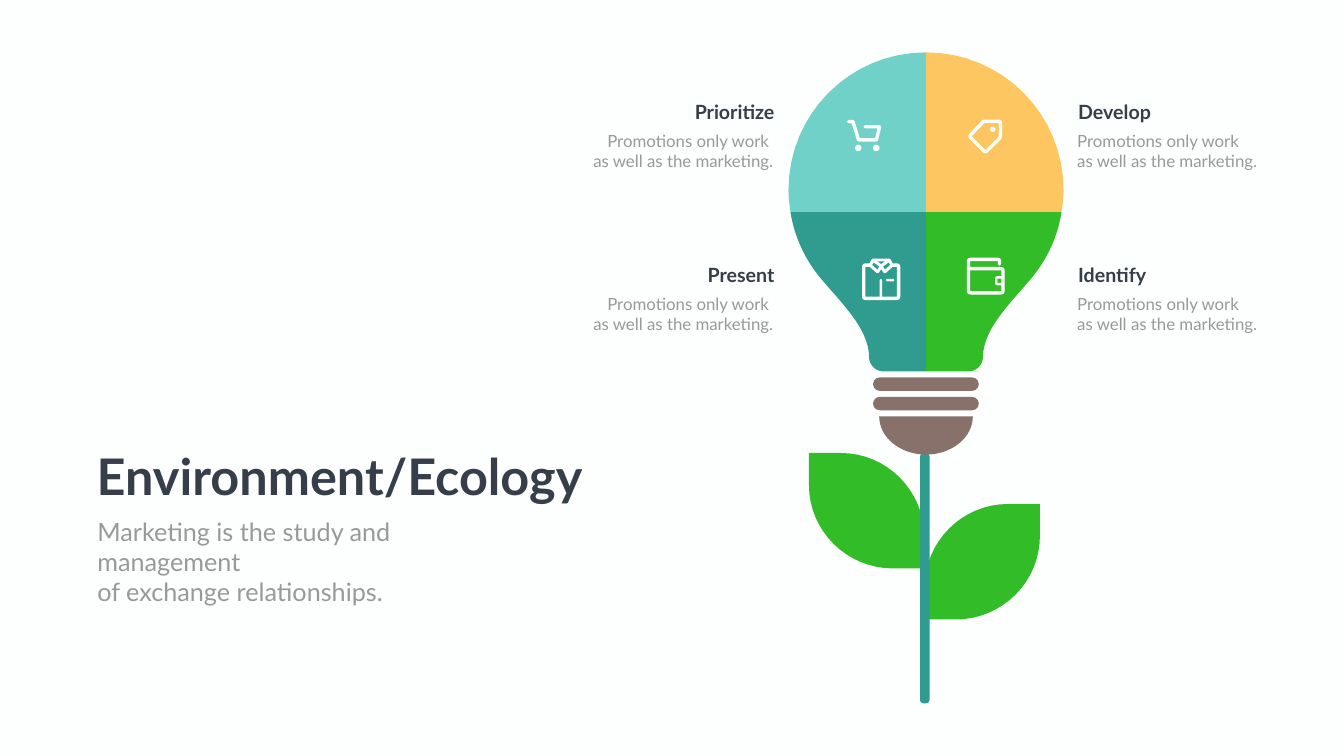
"""Build the Environment/Ecology slide with a light bulb growing on a plant."""
from lxml.etree import SubElement
from pptx import Presentation
from pptx.dml.color import RGBColor
from pptx.enum.shapes import MSO_SHAPE as Kind
from pptx.enum.text import MSO_ANCHOR as Anchor, MSO_AUTO_SIZE as Fit, PP_ALIGN as Align
from pptx.oxml.ns import qn
from pptx.util import Cm, Pt

WHITE, DARK, GREY = "FDFFFE", "353E49", "989998"
TEAL, GREEN, MINT, AMBER, BROWN = "309C8F", "32BC27", "70D1C8", "FEC660", "88706B"
AXIS = 46.66
SEAM = 10.69
TOP = [(6.83, SEAM), (6.88, 10.31, 6.93, 9.96, 6.93, 9.58),
       (6.93, 5.74, 3.84, 2.64, 0, 2.64), (0, SEAM)]
LOW = [(0, SEAM), (0, 18.72), (2.13, 18.72), (2.54, 18.72, 2.87, 18.39, 2.87, 17.98),
       (2.87, 16.54, 4.39, 15.14, 5.31, 14.02), (6.1, 13.08, 6.63, 11.94, 6.83, SEAM)]
LEAF = [(0, 0), (1.57, 0), (3.91, 0, 5.82, -1.88, 5.82, -4.22), (5.82, -5.82),
        (4.22, -5.82), (1.88, -5.82, 0, -3.91, 0, -1.57)]
BASE = [(2.36, 20.98), (2.36, 22.05, 1.3, 22.91, 0, 22.91),
        (-1.3, 22.91, -2.36, 22.05, -2.36, 20.98)]
CART = [(42.76, 6.13), (42.98, 6.13), (43.26, 7.05), (44.16, 7.05), (44.32, 6.39), (43.59, 6.39)]
TAG = [(49.57, 6.11), (50.41, 6.11), (50.41, 6.93), (49.65, 7.68), (48.84, 6.87), (49.57, 6.11)]
PURSE = [(50.36, 13.31), (50.36, 13.07), (48.8, 13.07), (48.8, 14.76), (50.54, 14.76),
         (50.54, 13.54), (48.8, 13.54), (48.8, 13.31)]
SHIRT = [(43.84, 13.36), (43.52, 13.36), (43.52, 15.04), (45.28, 15.04), (45.28, 13.36),
         (44.96, 13.36)]
FLAP = [(-0.41, 13.11), (-0.55, 13.37), (-0.18, 13.7), (0.01, 13.41), (-0.41, 13.11)]
NOTE = "Promotions only work{}\nas well as the marketing."


def tint(code):
    """Return the colour for a hex string."""
    return RGBColor.from_string(code)


def paint(shape, code):
    """Fill a shape with one colour, without line or shadow."""
    shape.fill.solid()
    shape.fill.fore_color.rgb = tint(code)
    shape.line.fill.background()
    shape.shadow.inherit = False


def ink(shape, width):
    """Give a shape a white round-ended line and no fill."""
    shape.fill.background()
    shape.shadow.inherit = False
    shape.line.color.rgb = tint(WHITE)
    shape.line.width = Cm(width)
    line = shape.line._get_or_add_ln()
    line.set("cap", "rnd")
    SubElement(line, qn("a:round"))


def arc(a, b, c, d, count=16):
    """Return points along a cubic curve after its start."""
    spots = []
    for step in range(1, count + 1):
        t = step / count
        u = 1 - t
        spots.append(tuple(u ** 3 * i + 3 * u * u * t * j + 3 * u * t * t * k + t ** 3 * m
                           for i, j, k, m in zip(a, b, c, d)))
    return spots


def trace(steps):
    """Turn line and curve steps into plain points."""
    spots = [steps[0]]
    for step in steps[1:]:
        if len(step) == 2:
            spots.append(step)
        else:
            spots += arc(spots[-1], step[:2], step[2:4], step[4:])
    return spots


def toward(a, b, size):
    """Return the point on the way from a to b, at most halfway."""
    gap = ((b[0] - a[0]) ** 2 + (b[1] - a[1]) ** 2) ** 0.5
    part = min(size / gap, 0.5)
    return a[0] + (b[0] - a[0]) * part, a[1] + (b[1] - a[1]) * part


def bend(spots, size):
    """Round the inner corners of a row of points."""
    row = [spots[0]]
    for last, spot, after in zip(spots, spots[1:], spots[2:]):
        start, end = toward(spot, last, size), toward(spot, after, size)
        row += [start] + arc(start, spot, spot, end, 6)
    return row + [spots[-1]]


def outline(slide, spots, x=0, y=0, side=1, close=True):
    """Draw points from an origin, mirrored when side is -1."""
    row = [(Cm(x + side * a), Cm(y + b)) for a, b in spots]
    pen = slide.shapes.build_freeform(*row[0], scale=1)
    pen.add_line_segments(row[1:], close=close)
    return pen.convert_to_shape()


def solid(slide, steps, code, x=AXIS, y=0, side=1):
    """Draw a filled outline."""
    paint(outline(slide, trace(steps), x, y, side), code)


def stroke(slide, spots, width, curve=0.06, x=0, side=1):
    """Draw a white line through points with rounded corners."""
    shut = spots[0] == spots[-1]
    ink(outline(slide, bend(spots, curve), x, 0, side, shut), width)


def block(slide, kind, box, code, curve=None):
    """Draw a filled preset shape."""
    shape = slide.shapes.add_shape(kind, *map(Cm, box))
    if curve is not None:
        shape.adjustments[0] = curve
    paint(shape, code)
    return shape


def write(shape, box, text, size, code, bold=False, align=Align.LEFT):
    """Place a text shape and format its words."""
    shape.left, shape.top, shape.width, shape.height = map(Cm, box)
    frame = shape.text_frame
    frame.text = text
    frame.word_wrap = True
    frame.auto_size = Fit.NONE
    frame.vertical_anchor = Anchor.TOP
    for para in frame.paragraphs:
        para.alignment = align
        para.space_before = Pt(0)
        for run in para.runs:
            font = run.font
            font.name, font.size, font.bold = "Lato", Pt(size), bold
            font.color.rgb = tint(code)


def label(slide, name, y, side):
    """Write a heading and its note on one side of the bulb."""
    left = side < 0
    align = Align.RIGHT if left else Align.LEFT
    head, body = (32.54, 27.25) if left else (54.08, 54.03)
    note = NOTE.format(" " if left else "")
    rows = [(name, (head, y, 6.73, 1.45), 28, DARK, True),
            (note, (body, y + 1.57, 11.96, 2.31), 24, GREY, False)]
    for text, box, size, code, bold in rows:
        shape = slide.shapes.add_textbox(0, 0, 0, 0)
        write(shape, box, text, size, code, bold, align)


def plant(slide):
    """Draw the leaves, stem, socket and bulb."""
    for side, y in ((-1, 28.65), (1, 31.22)):
        solid(slide, LEAF, GREEN, 46.58, y, side)
    block(slide, Kind.ROUNDED_RECTANGLE, (46.36, 22.83, 0.48, 12.62), TEAL, 0.37)
    for y in (19.02, 20):
        block(slide, Kind.ROUNDED_RECTANGLE, (43.99, y, 5.33, 0.68), BROWN, 0.5)
    solid(slide, BASE, BROWN)
    for side, high, low in ((-1, MINT, TEAL), (1, AMBER, GREEN)):
        solid(slide, TOP, high, side=side)
        solid(slide, LOW, low, side=side)


def icons(slide):
    """Draw the cart, tag, wallet and shirt."""
    stroke(slide, CART, 0.17)
    for x in (43.08, 43.99):
        block(slide, Kind.OVAL, (x, 7.29, 0.33, 0.33), WHITE)
    stroke(slide, TAG, 0.17, 0.22)
    block(slide, Kind.OVAL, (49.89, 6.38, 0.27, 0.27), WHITE)
    stroke(slide, PURSE, 0.17, 0.22)
    clasp = block(slide, Kind.ROUNDED_RECTANGLE, (50.2, 13.98, 0.34, 0.34), WHITE, 0.17)
    ink(clasp, 0.12)
    stroke(slide, SHIRT, 0.17, 0.2)
    block(slide, Kind.RECTANGLE, (43.99, 13.03, 0.84, 0.15), WHITE)
    for side in (-1, 1):
        stroke(slide, FLAP, 0.15, x=44.4, side=side)
    for box in ((44.65, 14.05, 0.41, 0.13), (44.32, 14.07, 0.13, 0.97)):
        block(slide, Kind.ROUNDED_RECTANGLE, box, WHITE, 0.5)


def main():
    """Build and save the slide."""
    deck = Presentation()
    deck.slide_width, deck.slide_height = Cm(67.72), Cm(38.1)
    slide = deck.slides.add_slide(deck.slide_layouts[0])
    slide.background.fill.solid()
    slide.background.fill.fore_color.rgb = tint(WHITE)
    plant(slide)
    icons(slide)
    write(slide.shapes.title, (4.62, 22.28, 25.6, 3.33), "Environment/Ecology", 72, DARK, True)
    write(slide.placeholders[1], (4.65, 25.88, 22.76, 3.33),
          "Marketing is the study and management\nof exchange relationships.", 36, GREY)
    for name, y, side in (("Develop", 4.9, 1), ("Identify", 13.11, 1),
                          ("Prioritize", 4.9, -1), ("Present", 13.11, -1)):
        label(slide, name, y, side)
    deck.save("out.pptx")


if __name__ == "__main__":
    main()
